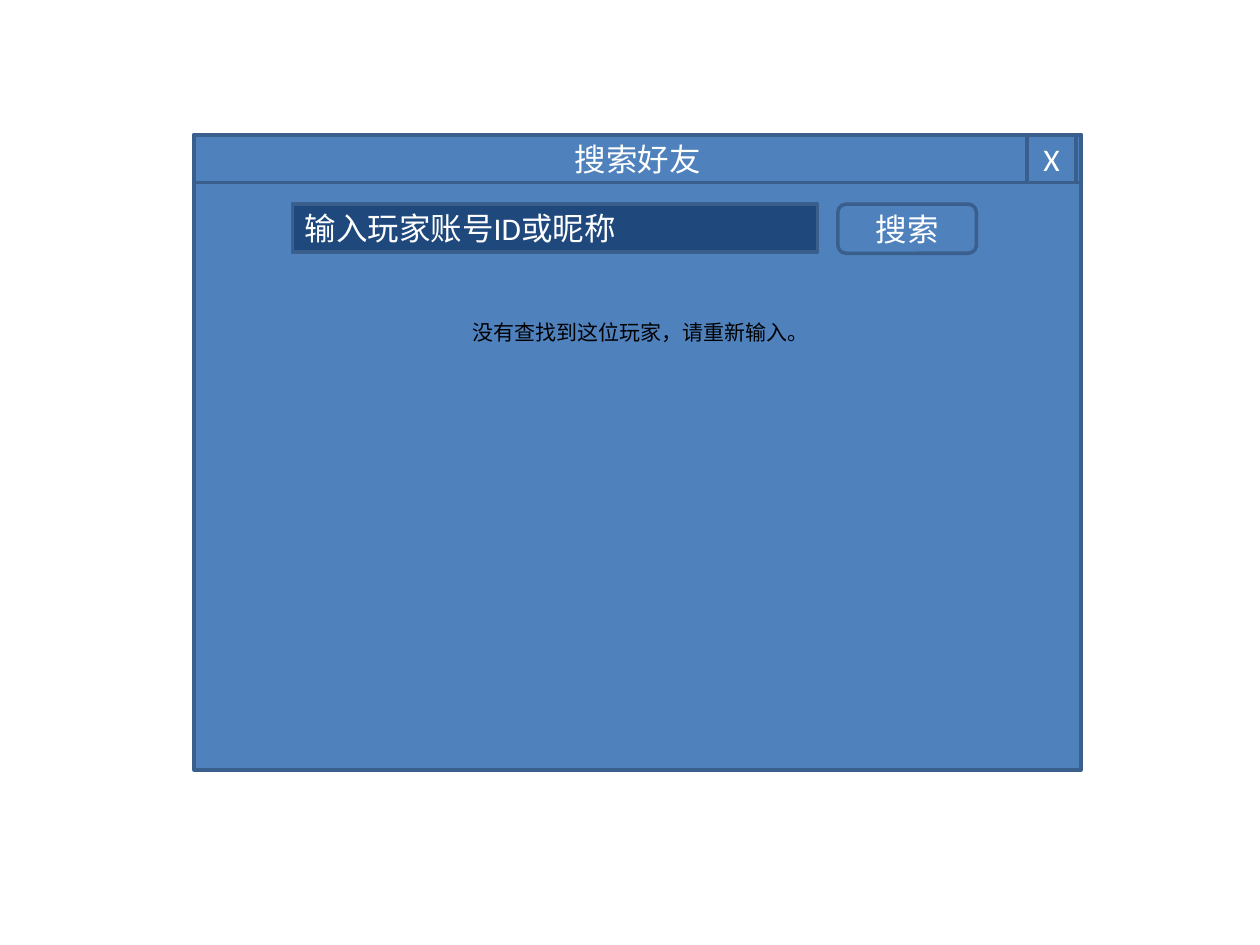
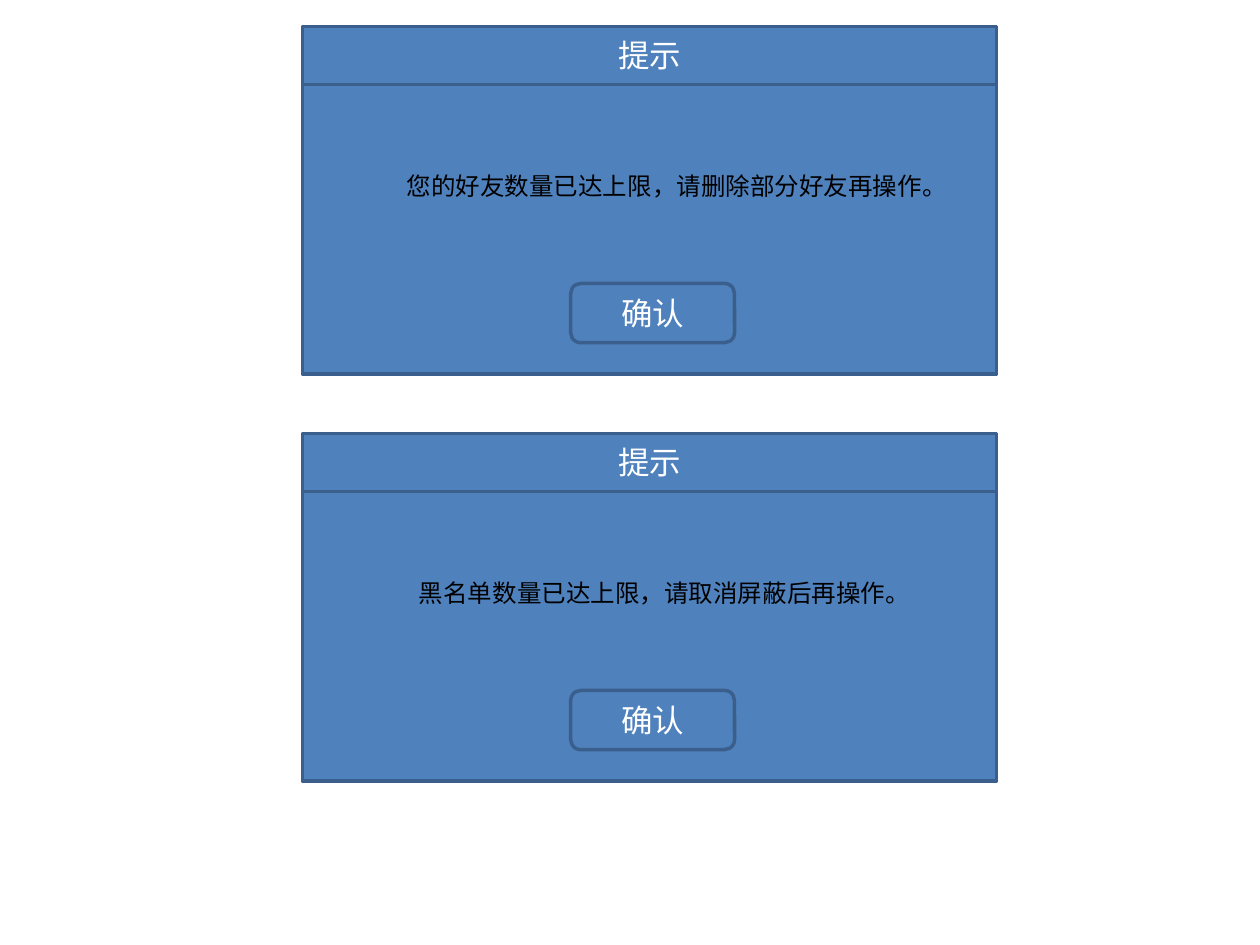
from dataclasses import dataclass

from pptx import Presentation
from pptx import util as u
from pptx.dml.color import RGBColor
from pptx.enum import lang, shapes, text

RECT = shapes.MSO_SHAPE.RECTANGLE
ROUND = shapes.MSO_SHAPE.ROUNDED_RECTANGLE
LEFT, MID = text.PP_ALIGN.LEFT, text.PP_ALIGN.CENTER


@dataclass(frozen=True)
class Theme:
    font: str = "Calibri"
    panel: str = "4F81BD"
    field: str = "1F497D"
    edge: str = "3A5F8C"
    light: str = "FFFFFF"
    dark: str = "000000"
    label: int = 18
    note: int = 14
    small: int = 12
    line: int = 2


class Deck:
    def __init__(self, theme):
        self.theme = theme
        self.prs = Presentation()
        self.prs.slide_width = u.Inches(10)
        self.prs.slide_height = u.Inches(7.5)
        self.slide = None

    def page(self):
        self.slide = self.prs.slides.add_slide(self.prs.slide_layouts[6])

    def label(self, frame, words, size, color, align=MID):
        frame.word_wrap = True
        para = frame.paragraphs[0]
        para.alignment = align
        run = para.add_run()
        run.text = words
        font = run.font
        font.name = self.theme.font
        font.size = u.Pt(size)
        font.color.rgb = RGBColor.from_string(color)
        font.language_id = lang.MSO_LANGUAGE_ID.SIMPLIFIED_CHINESE

    def box(self, x, y, w, h, words="", kind=RECT, fill=None, align=MID):
        theme = self.theme
        shape = self.slide.shapes.add_shape(kind, *map(u.Inches, (x, y, w, h)))
        shape.shadow.inherit = False
        shape.fill.solid()
        shape.fill.fore_color.rgb = RGBColor.from_string(fill or theme.panel)
        shape.line.color.rgb = RGBColor.from_string(theme.edge)
        shape.line.width = u.Pt(theme.line)
        if words:
            frame = shape.text_frame
            frame.vertical_anchor = text.MSO_ANCHOR.MIDDLE
            self.label(frame, words, theme.label, theme.light, align)

    def button(self, x, y, w, h, words):
        self.box(x, y, w, h, words, kind=ROUND)

    def note(self, x, y, w, h, words, size):
        frame = self.slide.shapes.add_textbox(
            *map(u.Inches, (x, y, w, h))).text_frame
        frame.auto_size = text.MSO_AUTO_SIZE.SHAPE_TO_FIT_TEXT
        self.label(frame, words, size, self.theme.dark)

    def window(self, x, y, w, h, bar, title):
        self.box(x, y, w, h)
        self.box(x, y, w, bar, title)

    def alert(self, y, words):
        self.window(2.4, y, 5.51, 2.76, 0.46, "提示")
        self.note(3.11, y + 1.1, 4.33, 0.34, words, self.theme.note)
        self.button(4.53, y + 2.04, 1.3, 0.47, "确认")


def search(deck):
    deck.page()
    # Window with its close button
    top, bar = 1.07, 0.38
    deck.window(1.54, top, 7.04, 5.04, bar, "搜索好友")
    deck.box(8.15, top, 0.39, bar, "X")
    # Search row
    row = 1.62
    deck.box(2.32, row, 4.17, 0.38, "输入玩家账号ID或昵称",
             fill=deck.theme.field, align=LEFT)
    deck.button(6.65, row, 1.1, 0.39, "搜索")
    # Result message
    deck.note(3.43, 2.49, 3.31, 0.3, "没有查找到这位玩家，请重新输入。",
              deck.theme.small)


def limits(deck):
    deck.page()
    # Two alerts at an equal pitch
    top, pitch = 0.21, 3.23
    notes = ("您的好友数量已达上限，请删除部分好友再操作。",
             "黑名单数量已达上限，请取消屏蔽后再操作。")
    for i, words in enumerate(notes):
        deck.alert(top + i * pitch, words)


def main():
    deck = Deck(Theme())
    search(deck)
    limits(deck)
    deck.prs.save("out.pptx")


if __name__ == "__main__":
    main()
